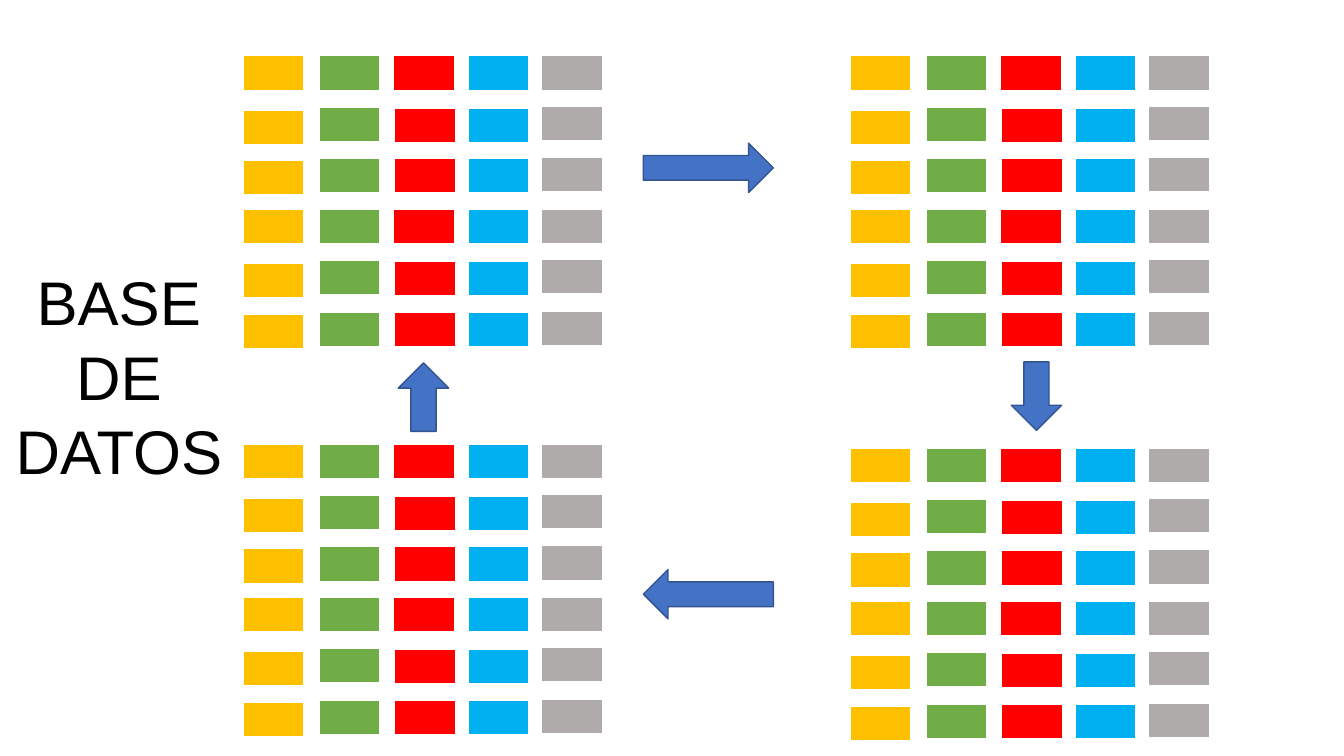
from dataclasses import dataclass

from pptx import Presentation
from pptx.dml.color import RGBColor
from pptx.enum.shapes import MSO_SHAPE as Preset
from pptx.enum.text import PP_ALIGN as Align
from pptx.util import Pt

PX = 9144  # EMU per px, 100 px to the inch
SLIDE_WIDTH, SLIDE_HEIGHT = 1333, 750
CELL_WIDTH, CELL_HEIGHT = 61, 35
HALF_PITCH = 152

COLORS = {
    "amber": "FFC000",
    "green": "70AD47",
    "red": "FF0000",
    "sky": "00B0F0",
    "gray": "AFABAB",
    "arrow": "4472C4",
    "arrow_edge": "325491",
    "white": "FFFFFF",
    "black": "000000",
}


@dataclass(frozen=True)
class Box:
    left: int
    top: int
    width: int
    height: int

    def emu(self) -> tuple[int, ...]:
        return tuple(n * PX for n in (self.left, self.top, self.width, self.height))


@dataclass(frozen=True)
class Column:
    """One colour of a block; its three row tops recur in the lower half."""
    color: str
    left: int
    row_tops: tuple[int, int, int]
    shift: int = 0  # sideways step of the rows below the first


@dataclass(frozen=True)
class Block:
    left: int
    top: int


@dataclass(frozen=True)
class Arrow:
    preset: Preset
    box: Box
    rotation: int = 0


COLUMNS = (
    Column("amber", 0, (0, 54, 104)),
    Column("green", 75, (0, 51, 102)),
    Column("red", 149, (0, 52, 102), shift=1),
    Column("sky", 223, (0, 52, 102)),
    Column("gray", 296, (0, 50, 101)),
)
BLOCKS = (Block(241, 55), Block(843, 55), Block(843, 444), Block(241, 440))
ARROWS = (
    Arrow(Preset.RIGHT_ARROW, Box(638, 142, 129, 49)),
    Arrow(Preset.DOWN_ARROW, Box(1003, 359, 50, 68)),
    Arrow(Preset.RIGHT_ARROW, Box(638, 565, 129, 49), rotation=180),
    Arrow(Preset.DOWN_ARROW, Box(395, 360, 50, 68), rotation=180),
)
TITLE_BOX = Box(5, 257, 226, 232)
TITLE_LINES = ("BASE", "DE", "DATOS")


def rgb(color: str) -> RGBColor:
    return RGBColor.from_string(COLORS[color])


def add_filled(shapes, preset: Preset, box: Box, fill: str, edge: str,
               edge_width: float, rotation: int = 0) -> None:
    shape = shapes.add_shape(preset, *box.emu())
    shape.rotation = rotation
    shape.shadow.inherit = False
    shape.fill.solid()
    shape.fill.fore_color.rgb = rgb(fill)
    shape.line.color.rgb = rgb(edge)
    shape.line.width = Pt(edge_width)


def add_block(shapes, block: Block) -> None:
    for half in range(2):
        for column in COLUMNS:
            for row, row_top in enumerate(column.row_tops):
                left = block.left + column.left + (column.shift if row else 0)
                top = block.top + half * HALF_PITCH + row_top
                cell = Box(left, top, CELL_WIDTH, CELL_HEIGHT)
                add_filled(shapes, Preset.RECTANGLE, cell, column.color, "white", 1.5)


def add_title(shapes) -> None:
    frame = shapes.add_textbox(*TITLE_BOX.emu()).text_frame
    frame.word_wrap = True
    frame.margin_left = frame.margin_right = 0
    for number, line in enumerate(TITLE_LINES):
        paragraph = frame.add_paragraph() if number else frame.paragraphs[0]
        paragraph.alignment = Align.CENTER
        paragraph.line_spacing = Pt(53)
        run = paragraph.add_run()
        run.text = line
        run.font.name = "Arial"
        run.font.size = Pt(44)
        run.font.color.rgb = rgb("black")


def main() -> None:
    deck = Presentation()
    deck.slide_width, deck.slide_height = SLIDE_WIDTH * PX, SLIDE_HEIGHT * PX
    shapes = deck.slides.add_slide(deck.slide_layouts[6]).shapes
    for block in BLOCKS:
        add_block(shapes, block)
    for arrow in ARROWS:
        add_filled(shapes, arrow.preset, arrow.box, "arrow", "arrow_edge", 1,
                   arrow.rotation)
    add_title(shapes)
    deck.save("out.pptx")


if __name__ == "__main__":
    main()
